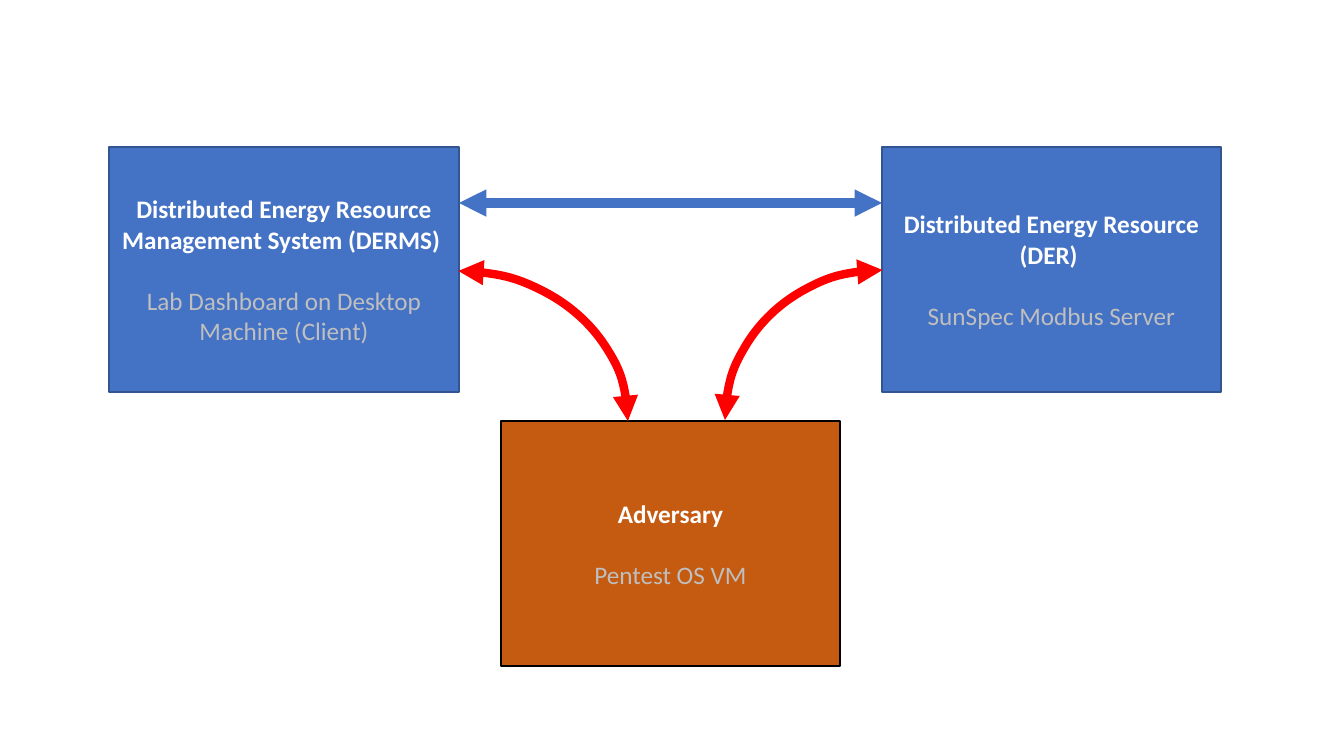
from lxml import etree
from pptx import Presentation
from pptx import util as u
from pptx.dml.color import RGBColor
from pptx.enum import shapes, text
from pptx.oxml.ns import qn

PIXEL = 914400 / 100.8
BLUE = RGBColor(0x44, 0x72, 0xC4)
DARK_BLUE = RGBColor(0x32, 0x54, 0x91)
ORANGE = RGBColor(0xC5, 0x5A, 0x11)
RED = RGBColor(0xFF, 0x00, 0x00)
BLACK = RGBColor(0x00, 0x00, 0x00)
WHITE = RGBColor(0xFF, 0xFF, 0xFF)
GREY = RGBColor(0xBF, 0xBF, 0xBF)


def px(*lengths):
    """Turn pixel lengths into a list of EMU lengths."""
    return [u.Emu(round(length * PIXEL)) for length in lengths]


def style_arrow(line, color, width):
    """Colour a line and put a triangle on both of its ends."""
    line.color.rgb = color
    line.width = u.Pt(width)
    outline = line._get_or_add_ln()
    for end in ("a:headEnd", "a:tailEnd"):
        etree.SubElement(outline, qn(end), type="triangle")


presentation = Presentation()
presentation.slide_width, presentation.slide_height = px(1344, 756)
slide = presentation.slides.add_slide(presentation.slide_layouts[6])

# System boxes: left, top, width, fill, outline, title, detail
BOX_HEIGHT = 245
boxes = [
    (109, 147, 350, BLUE, DARK_BLUE,
     "Distributed Energy Resource Management System (DERMS) ",
     "Lab Dashboard on Desktop Machine (Client)"),
    (882, 147, 339, BLUE, DARK_BLUE,
     "Distributed Energy Resource (DER) ", "SunSpec Modbus Server"),
    (501, 421, 339, ORANGE, BLACK, "Adversary", "Pentest OS VM"),
]
for left, top, width, fill, outline, title, detail in boxes:
    box = slide.shapes.add_shape(
        shapes.MSO_SHAPE.RECTANGLE, *px(left, top, width, BOX_HEIGHT))
    box.shadow.inherit = False
    box.fill.solid()
    box.fill.fore_color.rgb = fill
    box.line.color.rgb = outline
    box.line.width = u.Pt(1)
    frame = box.text_frame
    frame.word_wrap = True
    frame.vertical_anchor = text.MSO_ANCHOR.MIDDLE
    title_paragraph = frame.paragraphs[0]
    detail_paragraph = frame.add_paragraph()
    detail_paragraph.space_before = u.Pt(22)
    for paragraph, words, color, bold in (
            (title_paragraph, title, WHITE, True),
            (detail_paragraph, detail, GREY, False)):
        paragraph.alignment = text.PP_ALIGN.CENTER
        run = paragraph.add_run()
        run.text = words
        run.font.name = "Calibri"
        run.font.size = u.Pt(18)
        run.font.bold = bold
        run.font.color.rgb = color

# Direct link between the management system and the resource
link = slide.shapes.add_connector(
    shapes.MSO_CONNECTOR.STRAIGHT, *px(459, 203, 882, 203))
style_arrow(link.line, BLUE, 6.5)
etree.SubElement(link._element.spPr, qn("a:effectLst"))

# Adversary links: quarter arcs, the right one mirrored
for left, top, width, mirrored in ((289, 271, 339, False),
                                   (725, 270, 315, True)):
    arc = slide.shapes.add_shape(
        shapes.MSO_SHAPE.ARC, *px(left, top, width, 300))
    arc.shadow.inherit = False
    arc.fill.background()
    style_arrow(arc.line, RED, 6)
    if mirrored:
        arc._element.spPr.xfrm.set("flipH", "1")

presentation.save("out.pptx")
